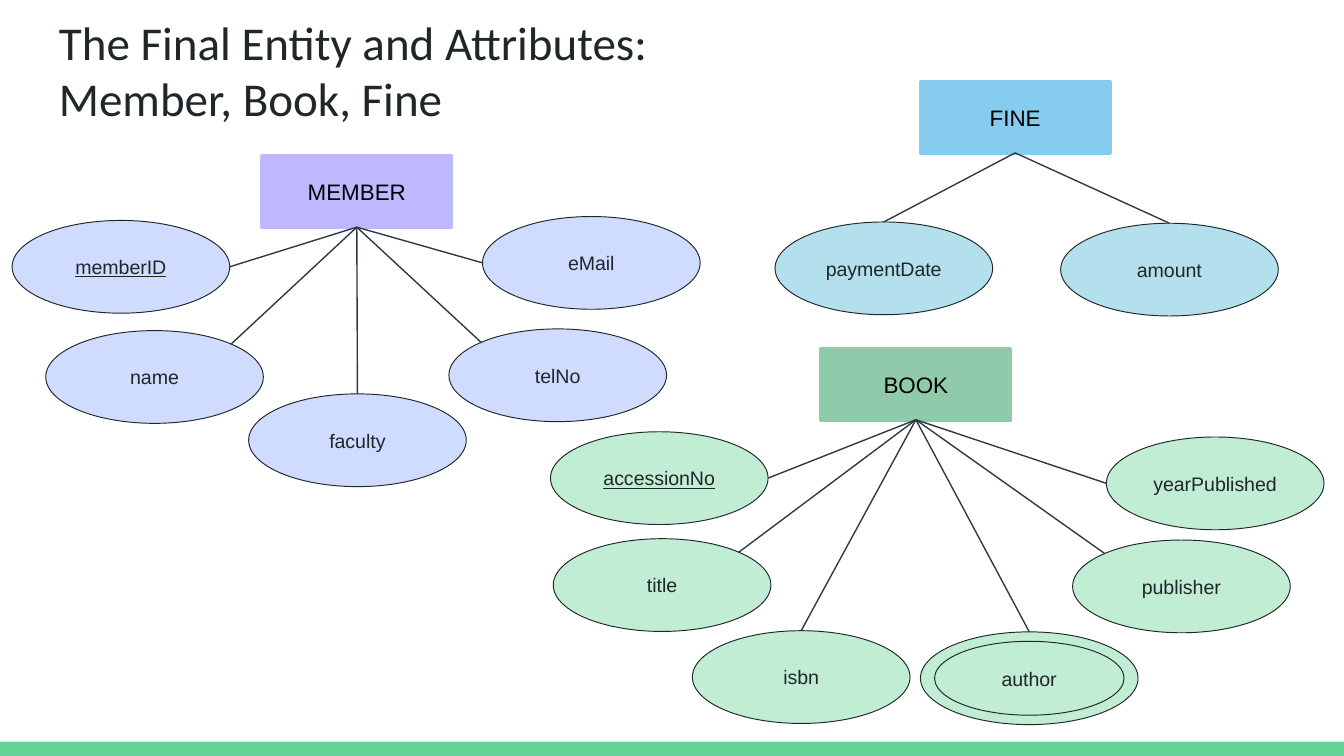
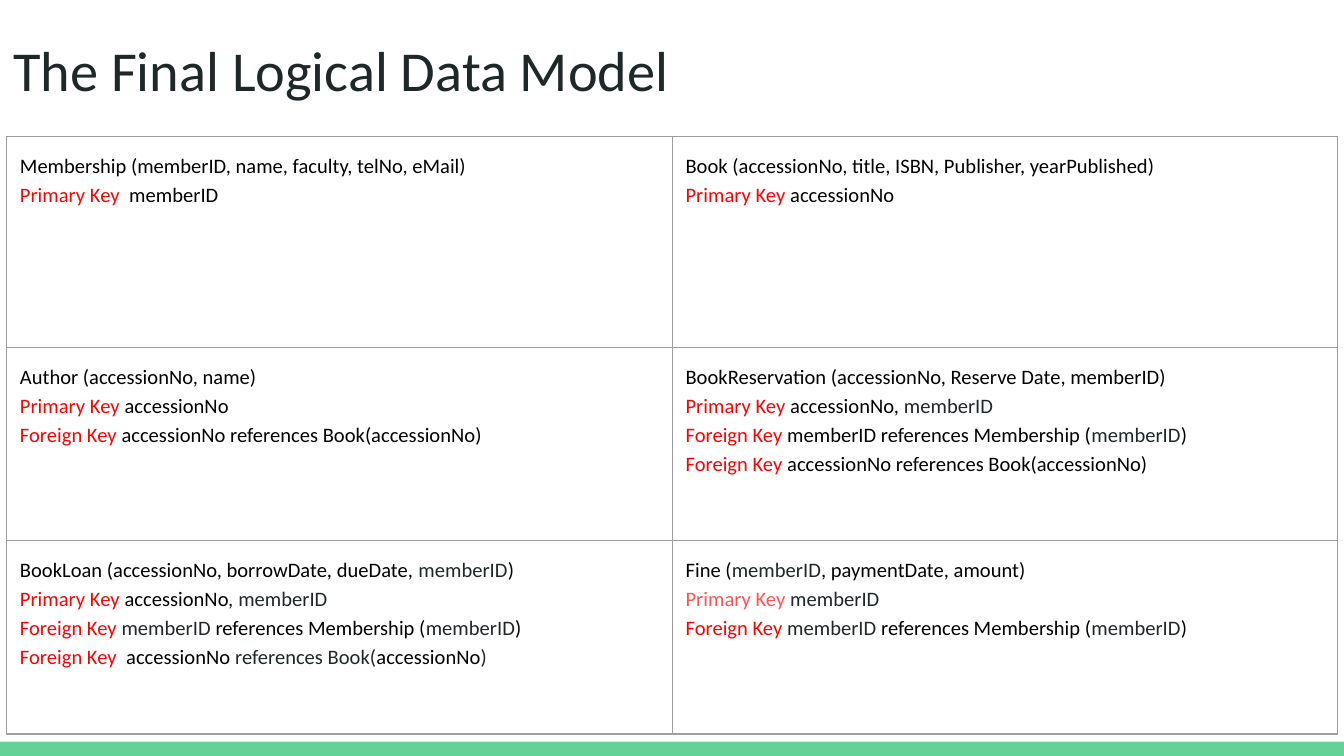
from lxml import etree
from pptx import Presentation
from pptx.dml.color import RGBColor
from pptx.enum.shapes import MSO_CONNECTOR, MSO_SHAPE
from pptx.enum.text import MSO_ANCHOR, PP_ALIGN
from pptx.oxml.ns import qn
from pptx.util import Pt

RECT, OVAL = MSO_SHAPE.RECTANGLE, MSO_SHAPE.OVAL
LINE = MSO_CONNECTOR.STRAIGHT
LEFT, CENTER = PP_ALIGN.LEFT, PP_ALIGN.CENTER
TOP, MIDDLE = MSO_ANCHOR.TOP, MSO_ANCHOR.MIDDLE

WHITE = RGBColor(0xFF, 0xFF, 0xFF)
BLACK = RGBColor(0, 0, 0)
INK = RGBColor(0x20, 0x27, 0x29)
SLATE = RGBColor(0x33, 0x36, 0x43)
BAND = RGBColor(0x63, 0xD2, 0x97)
RED = RGBColor(0xFF, 0, 0)
CORAL = RGBColor(0xFF, 0x52, 0x52)
GRAY = "9E9E9E"
VIOLET = RGBColor(0xBE, 0xB9, 0xFF)
LILAC = RGBColor(0xCF, 0xDC, 0xFF)
GREEN = RGBColor(0x8F, 0xCB, 0xAB)
MINT = RGBColor(0xC1, 0xED, 0xD5)
BLUE = RGBColor(0x86, 0xCC, 0xEE)
SKY = RGBColor(0xB4, 0xE0, 0xEE)

WIDTH, HEIGHT = 720, 405
BOX = (101.5, 38.2)
RING = (116.6, 49.7)
INNER = (101.5, 39.6)
SITES = {
    "top": (0.5, 0), "left": (0, 0.5), "right": (1, 0.5),
    "top left": (0.15, 0.15), "top right": (0.85, 0.15),
}
KEYS = ("memberID", "accessionNo")
MULTI = ("author",)

ENTITIES = [
    ("MEMBER", 140.4, 83.5, VIOLET, LILAC, [
        ("name", 24.5, 177.1, "top right"),
        ("memberID", 6.5, 118.1, "right"),
        ("faculty", 133.2, 211, "top"),
        ("telNo", 240.5, 176.2, "top left"),
        ("eMail", 258.5, 116, "left"),
    ]),
    ("BOOK", 439.9, 186.7, GREEN, MINT, [
        ("yearPublished", 592.7, 234.1, "left"),
        ("publisher", 574.6, 289.3, "top left"),
        ("isbn", 370.9, 337.9, "top"),
        ("title", 296.4, 288.6, "top right"),
        ("accessionNo", 294.9, 231.3, "right"),
        ("author", 493.1, 338.5, "top"),
    ]),
    ("FINE", 493.1, 43.7, BLUE, SKY, [
        ("paymentDate", 415.2, 118.9, "top"),
        ("amount", 568.2, 119.6, "top"),
    ]),
]

PK, FK = ("Primary Key ", RED), ("Foreign Key ", RED)
ID = ("memberID", INK)
MEMBER_REF = [" references Membership (", ID, ")"]
BOOK_REF = "accessionNo references Book(accessionNo)"
PAIR = [PK, "accessionNo, ", ID]

MODEL = [
    [
        [["Membership (memberID, name, faculty, telNo, eMail)"],
         [("Primary Key  ", RED), "memberID"]],
        [["Book (accessionNo, title, ISBN, Publisher, yearPublished)"],
         [PK, "accessionNo"]],
    ],
    [
        [["Author (accessionNo, name)"],
         [PK, "accessionNo"],
         [FK, BOOK_REF]],
        [["BookReservation (accessionNo, Reserve Date, memberID)"],
         PAIR,
         [FK, "memberID", *MEMBER_REF],
         [FK, BOOK_REF]],
    ],
    [
        [["BookLoan (accessionNo, borrowDate, dueDate, ", ID, ")"],
         PAIR,
         [FK, ID, *MEMBER_REF],
         [("Foreign Key  ", RED), "accessionNo",
          (" references Book(", INK), "accessionNo", (")", INK)]],
        [["Fine (", ID, ", paymentDate, amount)"],
         [("Primary Key ", CORAL), ID],
         [FK, ID, *MEMBER_REF]],
    ],
]
ROWS = [113.1, 103.6, 103.6]
COLS = [356.6, 356.6]


def write(frame, lines, size=11, font="Calibri", color=BLACK, align=LEFT,
          anchor=TOP, inset=7.2, spacing=None, under=False):
    frame.word_wrap = True
    frame.vertical_anchor = anchor
    frame.margin_left = frame.margin_right = Pt(inset)
    frame.margin_top = frame.margin_bottom = Pt(inset)
    for i, line in enumerate(lines):
        para = frame.add_paragraph() if i else frame.paragraphs[0]
        para.alignment = align
        if spacing:
            para.line_spacing = spacing
        for part in line:
            text, tint = (part, color) if isinstance(part, str) else part
            run = para.add_run()
            run.text = text
            run.font.size = Pt(size)
            run.font.name = font
            run.font.color.rgb = tint
            if under:
                run.font.underline = True


def draw(slide, kind, x, y, size, fill=None, edge=None, weight=0.5):
    shape = slide.shapes.add_shape(kind, Pt(x), Pt(y), Pt(size[0]), Pt(size[1]))
    shape.shadow.inherit = False
    if fill is None:
        shape.fill.background()
    else:
        shape.fill.solid()
        shape.fill.fore_color.rgb = fill
    if edge is None:
        shape.line.fill.background()
    else:
        shape.line.color.rgb = edge
        shape.line.width = Pt(weight)
    return shape


def link(slide, start, end):
    line = slide.shapes.add_connector(LINE, *(Pt(v) for v in (*start, *end)))
    line.line.color.rgb = SLATE
    line.line.width = Pt(0.75)
    etree.SubElement(line._element.spPr, qn("a:effectLst"))


def page(title, x, y, w, h, size):
    slide = deck.slides.add_slide(deck.slide_layouts[6])
    slide.background.fill.solid()
    slide.background.fill.fore_color.rgb = WHITE
    draw(slide, RECT, 0, 397.4, (WIDTH, HEIGHT - 397.4), BAND)
    box = slide.shapes.add_textbox(Pt(x), Pt(y), Pt(w), Pt(h))
    write(box.text_frame, [[line] for line in title], size=size, color=INK)
    return slide


def entity(slide, name, x, y, fill, tint, attrs):
    box = draw(slide, RECT, x, y, BOX, fill, fill, 2)
    write(box.text_frame, [[name]], size=12, font="Arial",
          align=CENTER, anchor=MIDDLE, inset=0)
    root = (x + BOX[0] / 2, y + BOX[1])
    for label, left, top, site in attrs:
        oval = draw(slide, OVAL, left, top, RING, tint, INK)
        write(oval.text_frame, [[label]], size=10.5, font="Arial", color=INK,
              align=CENTER, anchor=MIDDLE, inset=0, under=label in KEYS)
        if label in MULTI:
            dx, dy = ((a - b) / 2 for a, b in zip(RING, INNER))
            draw(slide, OVAL, left + dx, top + dy, INNER, edge=INK)
        fx, fy = SITES[site]
        link(slide, root, (left + fx * RING[0], top + fy * RING[1]))


def border(cell):
    props = cell._tc.get_or_add_tcPr()
    for i, side in enumerate(("lnL", "lnR", "lnT", "lnB")):
        line = etree.Element(qn("a:" + side), w=str(Pt(0.75)))
        fill = etree.SubElement(line, qn("a:solidFill"))
        etree.SubElement(fill, qn("a:srgbClr"), val=GRAY)
        props.insert(i, line)


deck = Presentation()
deck.slide_width, deck.slide_height = Pt(WIDTH), Pt(HEIGHT)

chart = page(["The Final Entity and Attributes:", "Member, Book, Fine"],
             24.5, 0, 671, 62, 25.2)
for item in ENTITIES:
    entity(chart, *item)

model = page(["The Final Logical Data Model"], 0, 11.5, 511, 51, 30.2)
grid = model.shapes.add_table(len(ROWS), len(COLS), Pt(3.5), Pt(73),
                              Pt(sum(COLS)), Pt(sum(ROWS))).table
grid.first_row = grid.horz_banding = False
for col, width in zip(grid.columns, COLS):
    col.width = Pt(width)
for r, row in enumerate(MODEL):
    grid.rows[r].height = Pt(ROWS[r])
    for c, lines in enumerate(row):
        cell = grid.cell(r, c)
        write(cell.text_frame, lines, spacing=1.15)
        cell.margin_left = cell.margin_right = Pt(7.2)
        cell.margin_top = cell.margin_bottom = Pt(7.2)
        cell.vertical_anchor = TOP
        cell.fill.background()
        border(cell)

deck.save("out.pptx")
